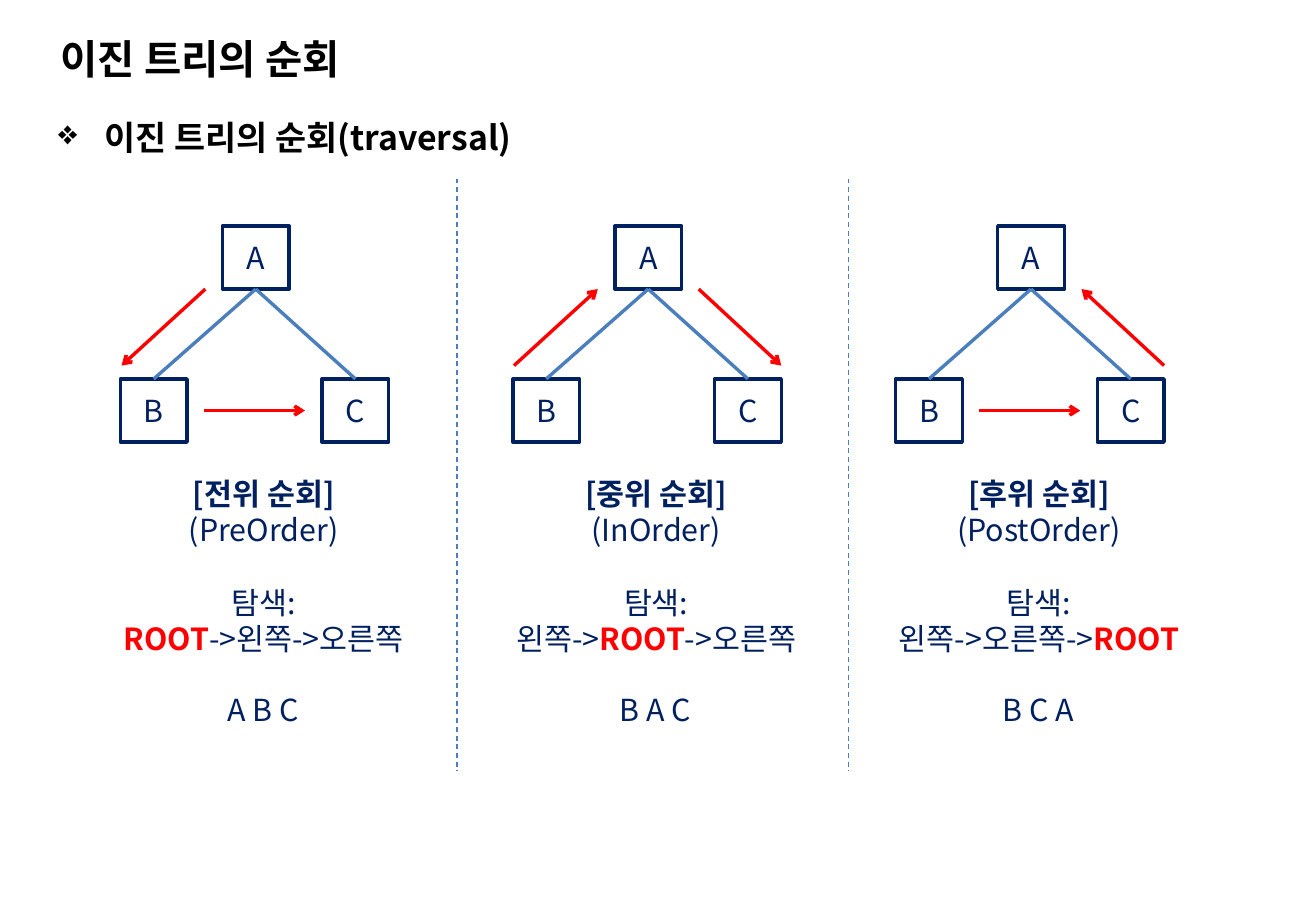
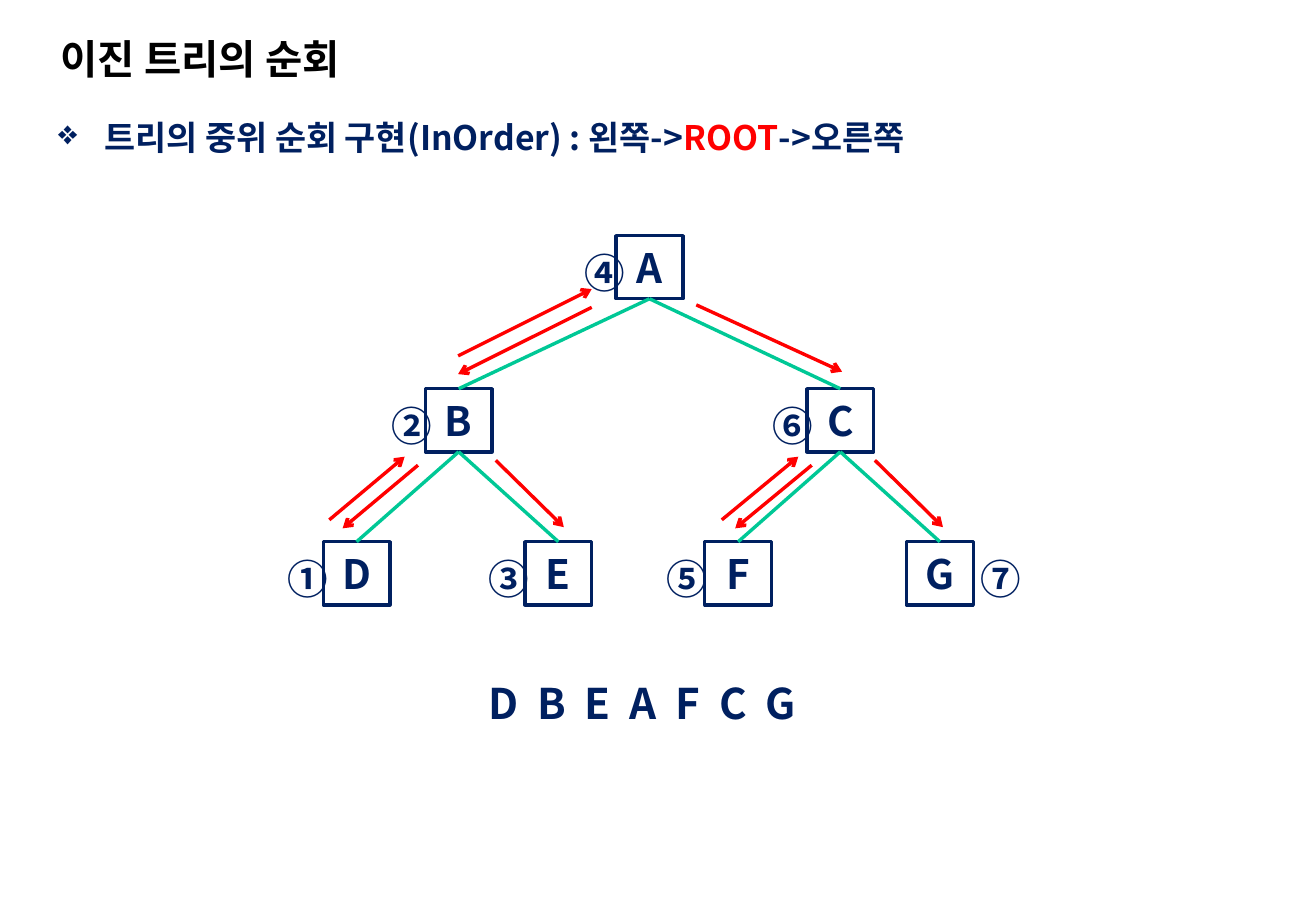
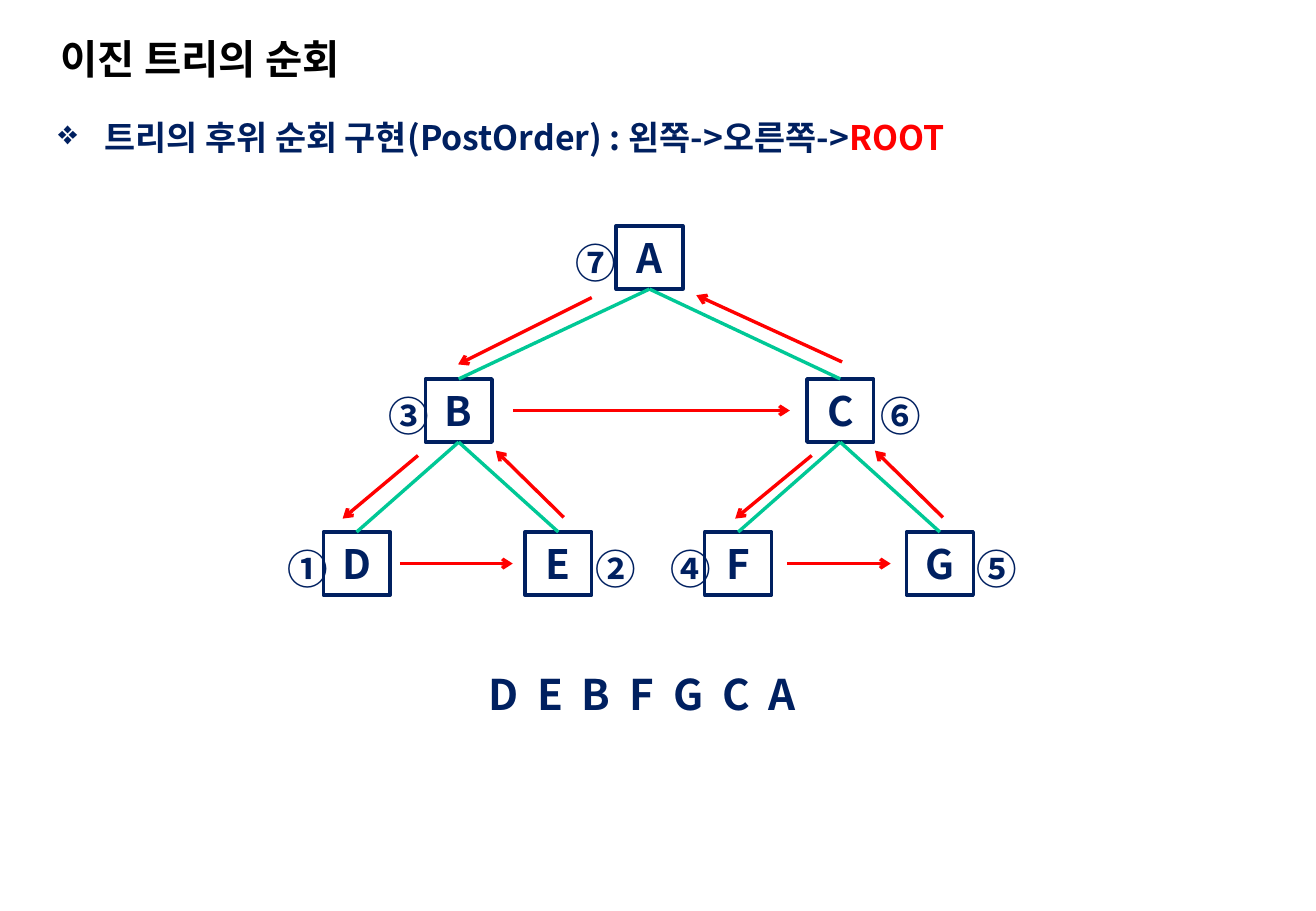
from dataclasses import dataclass

from lxml.etree import SubElement
from pptx import Presentation
from pptx.dml.color import RGBColor
from pptx.enum.dml import MSO_LINE
from pptx.enum.shapes import MSO_CONNECTOR, MSO_SHAPE
from pptx.enum.text import MSO_ANCHOR, PP_ALIGN
from pptx.oxml.ns import qn
from pptx.util import Inches, Pt


@dataclass(frozen=True)
class Theme:
    """Colours, type sizes and line widths of the deck."""
    font: str = "Noto Sans CJK KR"
    ink: str = "002060"
    black: str = "000000"
    accent: str = "FF0000"
    thin_edge: str = "4B7EBC"
    bold_edge: str = "00C896"
    title: int = 24
    heading: int = 20
    small: int = 18
    large: int = 24
    order: int = 25
    line: float = 2
    divider: float = 0.75
    leading: float = 1.2


THEME = Theme()
SLIDE_W, SLIDE_H = 10.83, 7.5
TITLE = "이진 트리의 순회"
KEYWORD = "ROOT"

# Overview: heading, then one column per traversal.
OVERVIEW_HEADING = "이진 트리의 순회(traversal)"
COLUMNS = [
    # root left, name, English name, search rule, order, route
    (1.83, "전위", "PreOrder", "ROOT->왼쪽->오른쪽", "ABC", ("AB", "BC")),
    (5.06, "중위", "InOrder", "왼쪽->ROOT->오른쪽", "BAC", ("BA", "AC")),
    (8.21, "후위", "PostOrder", "왼쪽->오른쪽->ROOT", "BCA", ("BC", "CA")),
]
DIVIDERS = (3.76, 6.98)

# Each step: heading, top of the tree, route, and the visited nodes with
# the distance of each number from its node.
WALKS = [
    ("트리의 중위 순회 구현(InOrder) : 왼쪽->ROOT->오른쪽", 1.94,
     ("AB", "BD", "DB", "BE", "BA", "AC", "CF", "FC", "CG"),
     (("D", -0.39), ("B", -0.38), ("E", -0.4), ("A", -0.36),
      ("F", -0.41), ("C", -0.38), ("G", 0.51))),
    ("트리의 후위 순회 구현(PostOrder) : 왼쪽->오른쪽->ROOT", 1.86,
     ("AB", "BD", "DE", "EB", "BC", "CF", "FG", "GC", "CA"),
     (("D", -0.39), ("E", 0.48), ("B", -0.4), ("F", -0.38),
      ("G", 0.48), ("C", 0.51), ("A", -0.43))),
]

# Tree grid: a node is a box, levels are one step apart.
NODE_W, NODE_H, LEVEL = 0.55, 0.52, 1.26
TREE_TOP = 1.86
TO_LEFT, TO_RIGHT, TO_SIDE = -0.84, 0.82, 1.57
SMALL_TREE = {"A": (0, 0), "B": (TO_LEFT, 1), "C": (TO_RIGHT, 1)}
LARGE_TREE = {"A": (0, 0), "B": (-TO_SIDE, 1), "C": (TO_SIDE, 1),
              "D": (TO_LEFT - TO_SIDE, 2), "E": (TO_RIGHT - TO_SIDE, 2),
              "F": (TO_LEFT + TO_SIDE, 2), "G": (TO_RIGHT + TO_SIDE, 2)}
LARGE_ROOT = 5.07

# Arrow tracks: start and end, measured from the upper or left node.
MIDDLE = NODE_H / 2
SMALL_TRACKS = {
    "AB": ((-0.14, 0.52), (-0.83, 1.15)),
    "AC": ((0.69, 0.52), (1.37, 1.15)),
    "BC": ((0.69, MIDDLE), (1.52, MIDDLE)),
}
LARGE_TRACKS = {
    "AB": ((-0.2, 0.59), (-1.3, 1.14)),
    "BA": ((-1.3, 0.99), (-0.2, 0.44)),
    "AC": ((0.66, 0.57), (1.86, 1.12)),
    "BC": ((0.72, MIDDLE), (3, MIDDLE)),
    "BD": ((-0.06, 0.63), (-0.68, 1.15)),
    "DB": ((-0.79, 1.08), (-0.17, 0.56)),
    "BE": ((0.58, 0.59), (1.14, 1.14)),
    "DE": ((0.63, MIDDLE), (1.56, MIDDLE)),
    "CF": ((0.04, 0.63), (-0.59, 1.15)),
    "FC": ((-0.7, 1.08), (-0.07, 0.56)),
    "CG": ((0.56, 0.59), (1.12, 1.14)),
    "FG": ((0.68, MIDDLE), (1.53, MIDDLE)),
}


def assign(target, values):
    """Set every attribute listed in values on target."""
    for name, value in values.items():
        setattr(target, name, value)


def add_run(paragraph, text, size, color, bold, spacing=0):
    """Add one formatted run, with the font set for Latin and Korean."""
    run = paragraph.add_run()
    run.text = text
    assign(run.font, {"name": THEME.font, "size": Pt(size), "bold": bold})
    run.font.color.rgb = RGBColor.from_string(color)
    properties = run._r.get_or_add_rPr()
    SubElement(properties, qn("a:ea")).set("typeface", THEME.font)
    if spacing:
        properties.set("spc", str(spacing))


def write(paragraph, text, size, color=THEME.ink, bold=False, spacing=0,
          align=PP_ALIGN.CENTER):
    """Fill a paragraph, with the keyword in the accent colour."""
    assign(paragraph, {"alignment": align,
                       "line_spacing": Pt(size * THEME.leading)})
    before, keyword, after = text.partition(KEYWORD)
    parts = ((before, color, bold), (keyword, THEME.accent, True),
             (after, color, bold))
    for part, part_color, part_bold in parts:
        if part:
            add_run(paragraph, part, size, part_color, part_bold, spacing)


def add_label(slide, left, top, width, height, wrap=False):
    """Add a text box and return its text frame."""
    box = slide.shapes.add_textbox(*map(Inches, (left, top, width, height)))
    box.text_frame.word_wrap = wrap
    return box.text_frame


def add_line(shapes, start, end, color, width=THEME.line, arrow=False):
    """Draw a straight line, with an arrowhead at its end on request."""
    line = shapes.add_connector(MSO_CONNECTOR.STRAIGHT,
                                *map(Inches, (*start, *end)))
    line.line.color.rgb = RGBColor.from_string(color)
    line.line.width = Pt(width)
    if arrow:
        outline = line.line._get_or_add_ln()
        SubElement(outline, qn("a:tailEnd")).set("type", "arrow")
    SubElement(line._element.spPr, qn("a:effectLst"))
    return line


def add_node(shapes, name, left, top, size, bold):
    """Draw one outlined tree node with its letter."""
    node = shapes.add_shape(MSO_SHAPE.RECTANGLE,
                            *map(Inches, (left, top, NODE_W, NODE_H)))
    node.shadow.inherit = False
    node.fill.background()
    node.line.color.rgb = RGBColor.from_string(THEME.ink)
    node.line.width = Pt(THEME.line)
    node.text_frame.vertical_anchor = MSO_ANCHOR.MIDDLE
    write(node.text_frame.paragraphs[0], name, size, bold=bold)


def add_tree(slide, layout, root_left, top, edge_color, size, bold):
    """Draw a grouped binary tree and return the corner of each node."""
    tree = slide.shapes.add_group_shape().shapes
    corners = {name: (root_left + shift, top + level * LEVEL)
               for name, (shift, level) in layout.items()}
    for name, corner in corners.items():
        add_node(tree, name, *corner, size, bold)
    names = list(corners)
    for index, child in enumerate(names[1:]):
        parent_left, parent_top = corners[names[index // 2]]
        child_left, child_top = corners[child]
        add_line(tree, (parent_left + NODE_W / 2, parent_top + NODE_H),
                 (child_left + NODE_W / 2, child_top), edge_color)
    return corners


def add_route(slide, route, tracks, corners):
    """Draw the arrows of a route; a missing way back reverses its track."""
    for leg in route:
        track = tracks[leg] if leg in tracks else tracks[leg[::-1]][::-1]
        left, top = corners[min(leg)]
        start, end = [(left + x, top + y) for x, y in track]
        add_line(slide.shapes, start, end, THEME.accent, arrow=True)


def start_slide(deck, heading, color):
    """Add a slide with the shared title and a bulleted heading."""
    slide = deck.slides.add_slide(deck.slide_layouts[5])
    title = slide.shapes.title
    assign(title, {"left": Inches(0.4), "top": Inches(0.21),
                   "width": Inches(6.26), "height": Inches(0.54)})
    title.text_frame.vertical_anchor = MSO_ANCHOR.MIDDLE
    write(title.text_frame.paragraphs[0], TITLE, THEME.title, THEME.black,
          bold=True, align=PP_ALIGN.LEFT)
    frame = add_label(slide, 0.38, 0.91, 9.5, 6.25, wrap=True)
    paragraph = frame.paragraphs[0]
    write(paragraph, heading, THEME.heading, color, bold=True,
          align=PP_ALIGN.LEFT)
    properties = paragraph._p.get_or_add_pPr()
    indent = Inches(0.38)
    properties.set("marL", str(indent))
    properties.set("indent", str(-indent))
    SubElement(properties, qn("a:buChar")).set("char", "❖")
    return slide


def add_column(slide, root_left, name, english, rule, order, route):
    """Draw one traversal: tree, route, caption and visiting order."""
    corners = add_tree(slide, SMALL_TREE, root_left, TREE_TOP,
                       THEME.thin_edge, THEME.small, False)
    add_route(slide, route, SMALL_TRACKS, corners)
    caption = add_label(slide, root_left - 1.02, 3.86, 2.72, 1.62)
    gap = Pt(THEME.small * THEME.leading)
    lines = ((f"[{name} 순회]", True, 0), (f"({english})", False, 0),
             ("탐색:", False, gap), (rule, False, 0))
    for index, (text, bold, before) in enumerate(lines):
        paragraph = (caption.add_paragraph() if index
                     else caption.paragraphs[0])
        write(paragraph, text, THEME.small, bold=bold)
        paragraph.space_before = before
    visits = add_label(slide, root_left - 0.09, 5.64, 0.85, 0.4)
    write(visits.paragraphs[0], " ".join(order), THEME.small)


def build_overview(deck):
    """Build the slide that compares the three traversals."""
    slide = start_slide(deck, OVERVIEW_HEADING, THEME.black)
    for column in COLUMNS:
        add_column(slide, *column)
    for x in DIVIDERS:
        divider = add_line(slide.shapes, (x, 1.47), (x, 6.35),
                           THEME.thin_edge, THEME.divider)
        divider.line.dash_style = MSO_LINE.DASH


def build_walk(deck, heading, top, route, visits):
    """Build a slide that walks through the large tree."""
    slide = start_slide(deck, heading, THEME.ink)
    corners = add_tree(slide, LARGE_TREE, LARGE_ROOT, top,
                       THEME.bold_edge, THEME.large, True)
    add_route(slide, route, LARGE_TRACKS, corners)
    for index, (name, distance) in enumerate(visits):
        left, node_top = corners[name]
        number = add_label(slide, left + distance, node_top + 0.05, 0.45, 0.4)
        write(number.paragraphs[0], chr(ord("①") + index), THEME.large,
              bold=True)
    order = add_label(slide, 3.69, top + 3.59, 3.19, 0.52)
    write(order.paragraphs[0], " ".join(name for name, _ in visits),
          THEME.order, bold=True, spacing=280)


def main():
    """Build and save the deck."""
    deck = Presentation()
    assign(deck, {"slide_width": Inches(SLIDE_W),
                  "slide_height": Inches(SLIDE_H)})
    build_overview(deck)
    for walk in WALKS:
        build_walk(deck, *walk)
    deck.save("out.pptx")


main()
